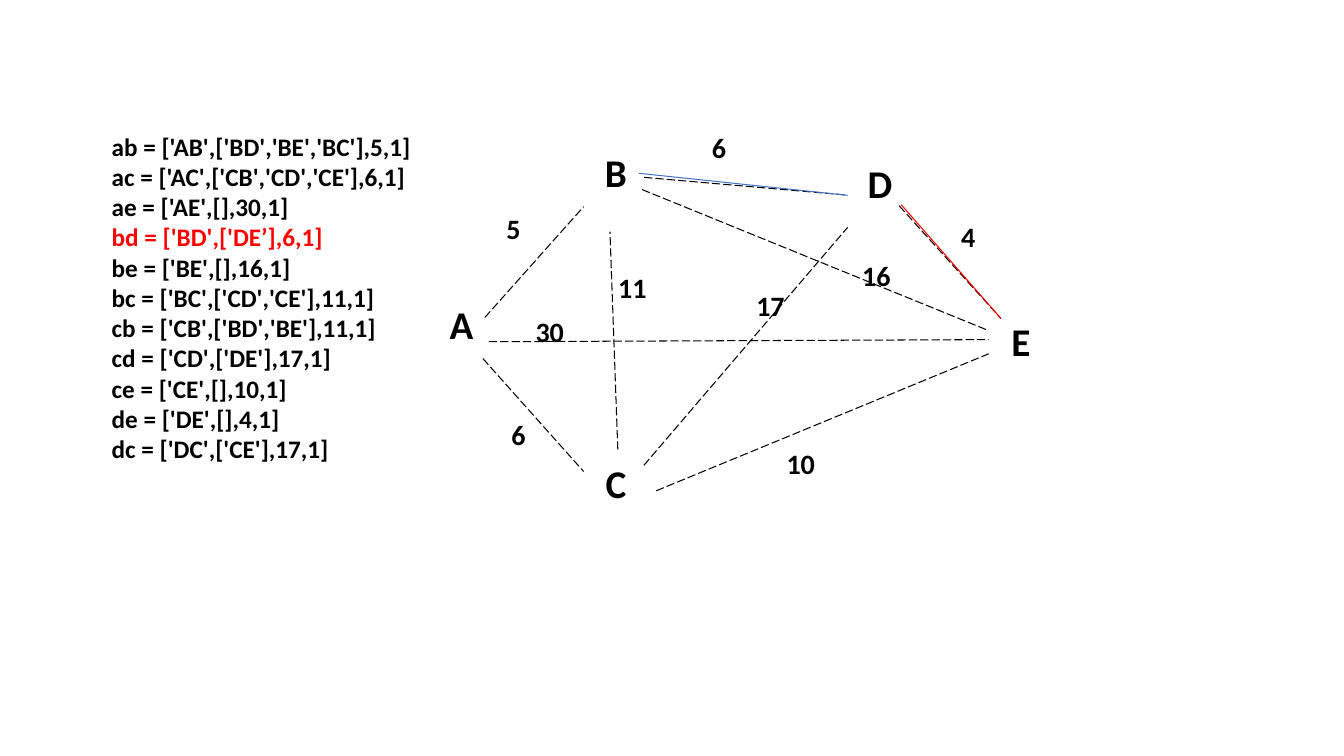
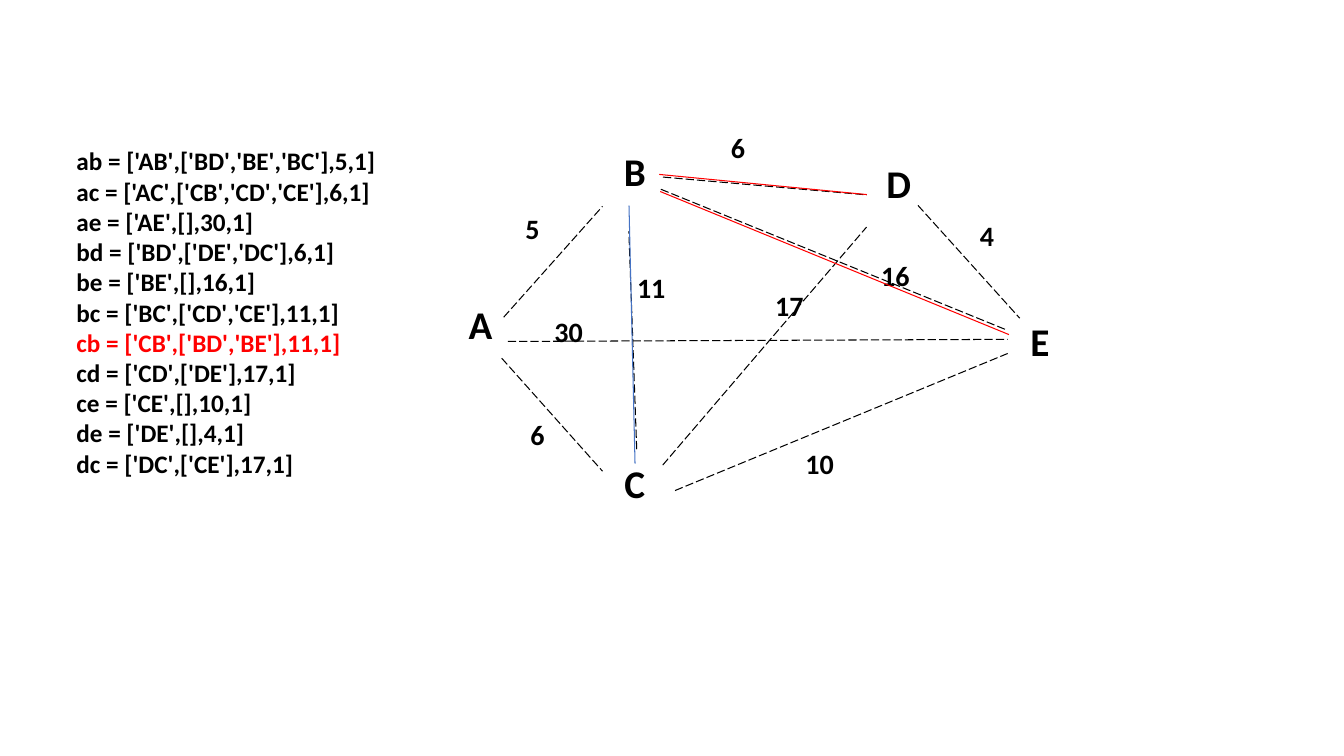
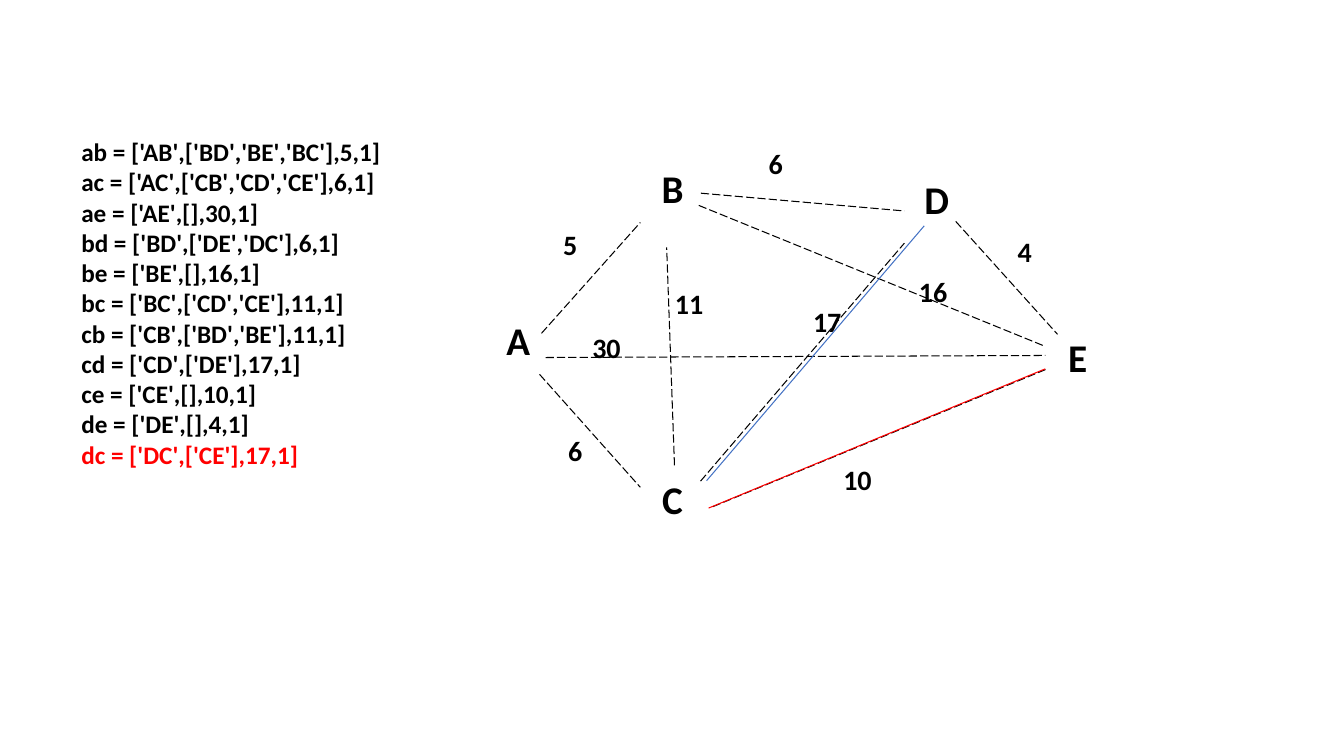
"""Build three slides that step through the edges of a weighted graph."""
from lxml.etree import SubElement
from pptx import Presentation
from pptx.dml.color import RGBColor
from pptx.enum.dml import MSO_LINE_DASH_STYLE as Dash
from pptx.enum.shapes import MSO_CONNECTOR as Connector
from pptx.enum.text import PP_ALIGN as Align
from pptx.oxml.ns import qn
from pptx.util import Pt

BLACK = RGBColor(0x00, 0x00, 0x00)
RED = RGBColor(0xFF, 0x00, 0x00)
BLUE = RGBColor(0x44, 0x72, 0xC4)
FONT = "Calibri"
BLANK_LAYOUT = 6

NODE_SIZE = (46, 58)
WEIGHT_SIZE = (51, 44.6)
CODE_SIZE = (260.6, 291)

NODES = [
    ("A", 0, 121),
    ("E", 399.6, 133.2),
    ("B", 110.2, 12.2),
    ("C", 110.2, 234.7),
    ("D", 298.8, 20.2),
]
EDGES = [
    (38.2, 166.1, 110.2, 246.8),
    (134.6, 231.1, 129, 75.4),
    (153.4, 36.7, 298.8, 49.4),
    (39.6, 136.8, 110.2, 57.6),
    (151.9, 45.4, 399.6, 146.2),
    (162, 260.6, 399.6, 162.7),
    (335.5, 56.9, 408.2, 137.5),
    (153.2, 242.4, 298.8, 72.4),
    (42.5, 154.1, 399.6, 152.6),
]
WEIGHTS = [
    ("5", 34.6, 57.6),
    ("6", 38.2, 204.9),
    ("10", 239.8, 225.4),
    ("30", 60.5, 131),
    ("16", 293.8, 91.4),
    ("11", 119.5, 99.8),
    ("6", 181.4, 0),
    ("4", 359.3, 63),
    ("17", 218.2, 112.8),
]

CODE = {
    "ab": "['AB',['BD','BE','BC'],5,1]",
    "ac": "['AC',['CB','CD','CE'],6,1]",
    "ae": "['AE',[],30,1]",
    "bd": "['BD',['DE','DC'],6,1]",
    "be": "['BE',[],16,1]",
    "bc": "['BC',['CD','CE'],11,1]",
    "cb": "['CB',['BD','BE'],11,1]",
    "cd": "['CD',['DE'],17,1]",
    "ce": "['CE',[],10,1]",
    "de": "['DE',[],4,1]",
    "dc": "['DC',['CE'],17,1]",
}

STEPS = [
    {
        "code": CODE | {"bd": "['BD',['DE’],6,1]"},
        "current": "bd",
        "code_at": (72.7, 90),
        "graph_at": (306.7, 90),
        "marked": [
            (456.5, 123.8, 605.5, 139.5, BLUE),
            (643.7, 146.2, 715, 227.5, RED),
        ],
    },
    {
        "code": CODE,
        "current": "cb",
        "code_at": (47.5, 100.5),
        "graph_at": (320.2, 89.8),
        "marked": [
            (470.9, 124.6, 619.2, 139, RED),
            (449.3, 146.9, 453.6, 331.2, BLUE),
            (471.6, 136.8, 720.7, 239, RED),
        ],
    },
    {
        "code": CODE,
        "current": "dc",
        "code_at": (51, 94),
        "graph_at": (347.2, 101.3),
        "marked": [
            (504.7, 343.4, 660.2, 161.3, BLUE),
            (506.2, 362.9, 746.6, 263.5, RED),
        ],
    },
]


def add_text(shapes, lines, at, box, size, align=Align.LEFT):
    """Add a bold text box; lines holds (text, colour) pairs."""
    frame = shapes.add_textbox(*map(Pt, at + box)).text_frame
    frame.word_wrap = True
    for index, (text, colour) in enumerate(lines):
        paragraph = frame.paragraphs[0] if index == 0 else frame.add_paragraph()
        paragraph.alignment = align
        run = paragraph.add_run()
        run.text = text
        run.font.name = FONT
        run.font.size = Pt(size)
        run.font.bold = True
        run.font.color.rgb = colour


def add_edge(shapes, ends, colour, dash=None):
    """Add a thin straight line between two points."""
    edge = shapes.add_connector(Connector.STRAIGHT, *map(Pt, ends))
    edge.line.color.rgb = colour
    edge.line.width = Pt(0.75)
    if dash:
        edge.line.dash_style = dash
    SubElement(edge._element.spPr, qn("a:effectLst"))


def add_graph(slide, left, top):
    """Add the grouped graph with its origin at left, top."""
    graph = slide.shapes.add_group_shape().shapes
    for x1, y1, x2, y2 in EDGES:
        add_edge(graph, (left + x1, top + y1, left + x2, top + y2), BLACK, Dash.LONG_DASH)
    for labels, box, size in ((NODES, NODE_SIZE, 28), (WEIGHTS, WEIGHT_SIZE, 20)):
        for label, x, y in labels:
            add_text(graph, [(label, BLACK)], (left + x, top + y), box, size, Align.CENTER)


def main():
    """Build and save the presentation."""
    deck = Presentation()
    deck.slide_width, deck.slide_height = Pt(960), Pt(540)
    for step in STEPS:
        slide = deck.slides.add_slide(deck.slide_layouts[BLANK_LAYOUT])
        add_graph(slide, *step["graph_at"])
        code_lines = [
            (f"{name} = {value}", RED if name == step["current"] else BLACK)
            for name, value in step["code"].items()
        ]
        add_text(slide.shapes, code_lines, step["code_at"], CODE_SIZE, 18)
        for *ends, colour in step["marked"]:
            add_edge(slide.shapes, ends, colour)
    deck.save("out.pptx")


if __name__ == "__main__":
    main()
